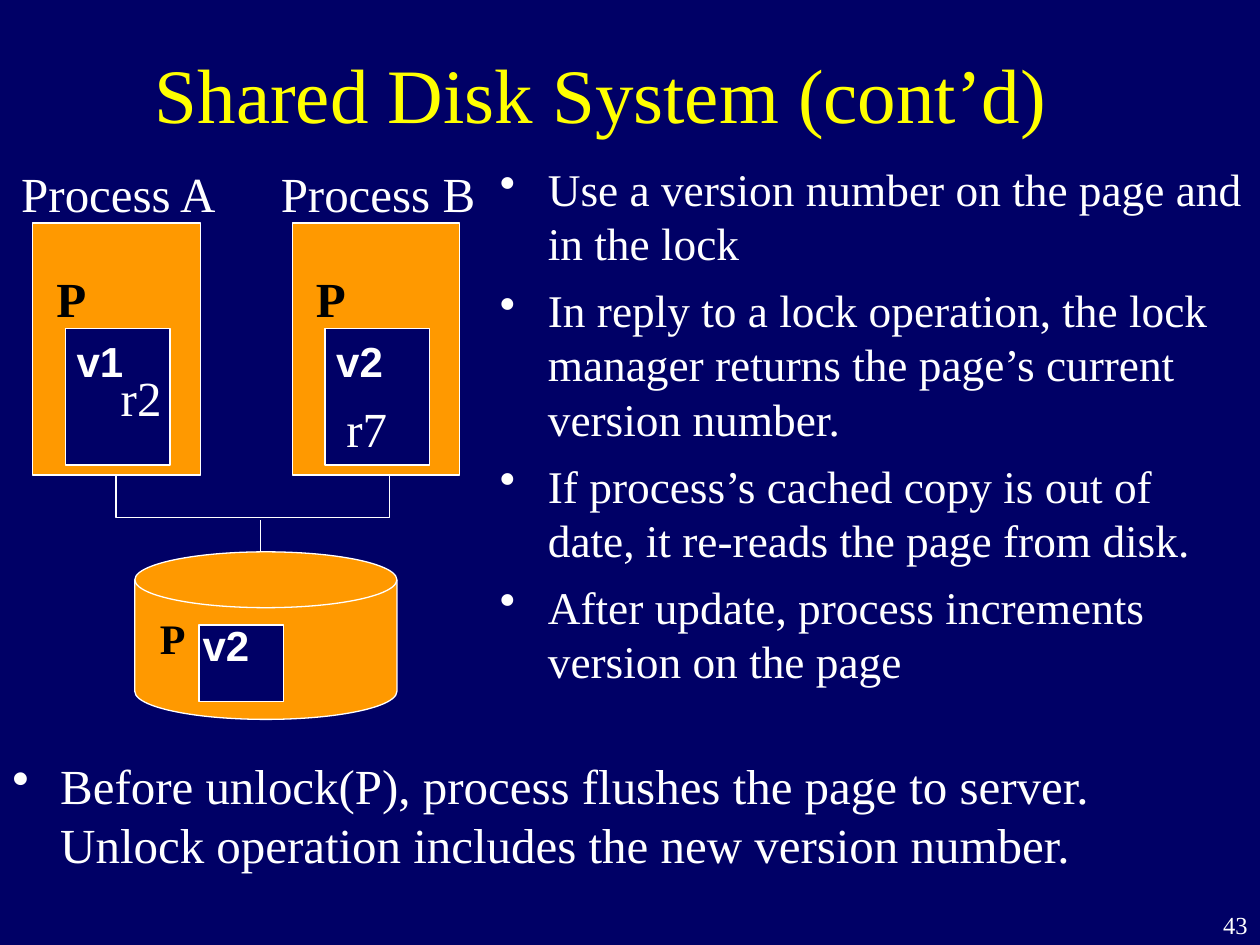
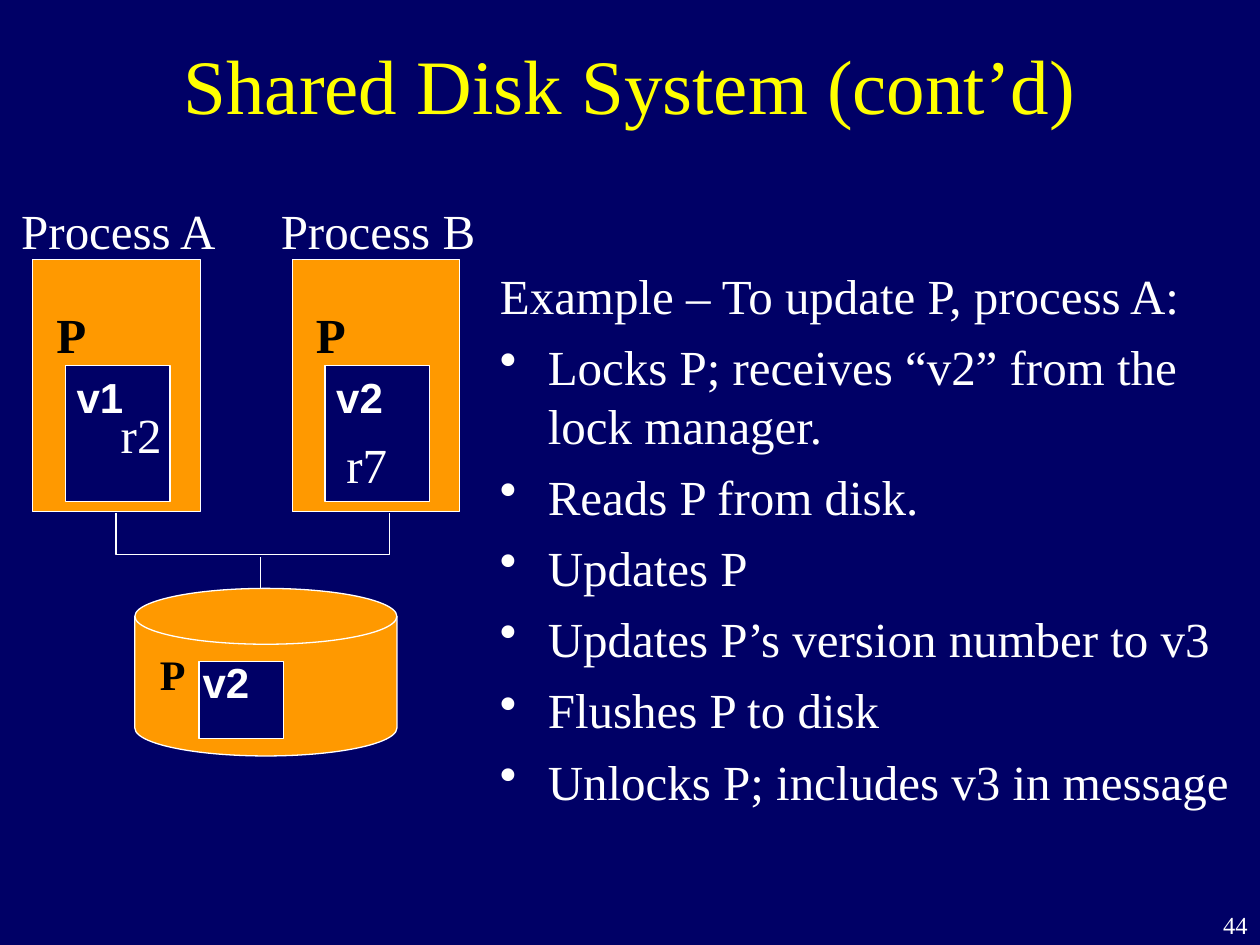
from pptx import Presentation
from pptx.dml.color import RGBColor
from pptx.enum.shapes import MSO_CONNECTOR, MSO_SHAPE
from pptx.enum.text import MSO_ANCHOR, MSO_AUTO_SIZE, PP_ALIGN
from pptx.oxml.ns import qn
from pptx.util import Inches, Pt
from lxml import etree

RECTANGLE = MSO_SHAPE.RECTANGLE
DISK = MSO_SHAPE.FLOWCHART_MAGNETIC_DISK
STRAIGHT = MSO_CONNECTOR.STRAIGHT
LEFT, CENTER, RIGHT = PP_ALIGN.LEFT, PP_ALIGN.CENTER, PP_ALIGN.RIGHT
TOP, MIDDLE = MSO_ANCHOR.TOP, MSO_ANCHOR.MIDDLE
FIT_SHAPE = MSO_AUTO_SIZE.SHAPE_TO_FIT_TEXT

NAVY, ORANGE, YELLOW = "000066", "FF9900", "FFFF00"
WHITE, BLACK = "FFFFFF", "000000"
SERIF, SANS = "Times New Roman", "Arial"
HANGING = 0.38
COLUMN_STEP = 2.06


def color(hex_code):
    """Turn a hex string into a colour."""
    return RGBColor.from_string(hex_code)


def write(paragraph, text, size=28, font=SERIF, fill=WHITE, bold=False, align=LEFT):
    """Put formatted text into a paragraph."""
    paragraph.alignment = align
    run = paragraph.add_run()
    run.text = text
    run.font.size = Pt(size)
    run.font.name = font
    run.font.bold = bold
    run.font.color.rgb = color(fill)


def hang(paragraph, bullet):
    """Give a paragraph a hanging indent, with a bullet if wanted."""
    paragraph.space_before = Pt(7)
    properties = paragraph._p.get_or_add_pPr()
    properties.set("marL", str(Inches(HANGING)))
    properties.set("indent", str(-Inches(HANGING)))
    if bullet:
        bullet_color = etree.SubElement(properties, qn("a:buClr"))
        etree.SubElement(bullet_color, qn("a:srgbClr"), val=WHITE)
        etree.SubElement(properties, qn("a:buChar"), char="•")
    else:
        etree.SubElement(properties, qn("a:buNone"))


class Deck:
    """Hold the style and the current slide."""

    def __init__(self):
        """Start an empty presentation."""
        self.presentation = Presentation()
        self.presentation.slide_width = Inches(10)
        self.presentation.slide_height = Inches(7.5)
        self.slide = None

    def start_slide(self, title, number, left, top):
        """Add a slide with its background, title and number."""
        self.slide = self.presentation.slides.add_slide(self.presentation.slide_layouts[6])
        background = self.slide.background.fill
        background.solid()
        background.fore_color.rgb = color(NAVY)
        self.text(title, left, top, 8.5, 1.25, anchor=MIDDLE, size=44, fill=YELLOW, align=CENTER)
        self.text(str(number), 9.08, 7.17, 0.92, 0.33, size=14, align=RIGHT)

    def frame(self, left, top, width, height, anchor=TOP, wrap=True):
        """Add an empty text box and return its text frame."""
        box = self.slide.shapes.add_textbox(Inches(left), Inches(top), Inches(width), Inches(height))
        box.text_frame.word_wrap = wrap
        box.text_frame.vertical_anchor = anchor
        return box.text_frame

    def text(self, text, left, top, width, height, anchor=TOP, **style):
        """Add one line of wrapping text."""
        write(self.frame(left, top, width, height, anchor).paragraphs[0], text, **style)

    def label(self, text, left, top, width, height=0.57, wrap=False, **style):
        """Add a diagram label whose box fits its text."""
        frame = self.frame(left, top, width, height, wrap=wrap)
        frame.auto_size = FIT_SHAPE
        write(frame.paragraphs[0], text, **style)

    def bullets(self, items, left, top, width, height, heading=None, size=28):
        """Add a bulleted list, with an optional plain heading."""
        frame = self.frame(left, top, width, height)
        lines = [heading] * bool(heading) + items
        for index, line in enumerate(lines):
            paragraph = frame.add_paragraph() if index else frame.paragraphs[0]
            hang(paragraph, bullet=line != heading)
            write(paragraph, line, size=size)

    def outline(self, shape):
        """Draw the thin white outline without a shadow."""
        shape.line.color.rgb = color(WHITE)
        shape.line.width = Pt(0.75)

    def block(self, kind, left, top, width, height, fill):
        """Add a filled, outlined shape."""
        block = self.slide.shapes.add_shape(
            kind, Inches(left), Inches(top), Inches(width), Inches(height))
        block.shadow.inherit = False
        block.fill.solid()
        block.fill.fore_color.rgb = color(fill)
        self.outline(block)

    def bracket(self, left, top, width, height):
        """Add an open bracket that joins two blocks from below."""
        x, y, right, bottom = (Inches(v) for v in (left, top, left + width, top + height))
        builder = self.slide.shapes.build_freeform(x, y)
        builder.add_line_segments([(x, bottom), (right, bottom), (right, y)], close=False)
        bracket = builder.convert_to_shape()
        bracket.shadow.inherit = False
        bracket.fill.background()
        self.outline(bracket)

    def stem(self, x, top, bottom):
        """Add a vertical line."""
        stem = self.slide.shapes.add_connector(
            STRAIGHT, Inches(x), Inches(top), Inches(x), Inches(bottom))
        etree.SubElement(stem._element.spPr, qn("a:effectLst"))
        self.outline(stem)

    def process(self, name, column, top, version, record, record_x, record_y):
        """Add a process that caches a version of page P."""
        x = column * COLUMN_STEP
        self.block(RECTANGLE, x + 0.26, top + 0.52, 1.33, 2, ORANGE)
        self.label(name, x + 0.07, top, 1.75)
        self.block(RECTANGLE, x + 0.52, top + 1.36, 0.83, 1.08, NAVY)
        self.label("P", x + 0.35, top + 0.83, 0.6, wrap=True, fill=BLACK, bold=True)
        self.label(record, record_x, top + record_y, 0.52)
        self.label(version, x + 0.51, top + 1.36, 0.57, 0.5, size=24, font=SANS, bold=True)

    def shared_disk(self, top):
        """Add two processes connected to one disk."""
        self.process("Process A", 0, top, "v1", "r2", 0.86, 1.62)
        self.process("Process B", 1, top, "v2", "r7", 2.65, 1.86)
        self.bracket(0.92, top + 2.53, 2.17, 0.33)
        self.block(DISK, 1.07, top + 3.13, 2.08, 1.33, ORANGE)
        self.stem(2.07, top + 2.88, top + 3.13)
        self.block(RECTANGLE, 1.58, top + 3.71, 0.67, 0.61, NAVY)
        self.label("P", 1.17, top + 3.56, 0.4, 0.5, size=24, fill=BLACK, bold=True)
        self.label("v2", 1.51, top + 3.62, 0.57, 0.5, size=24, font=SANS, bold=True)


def main():
    """Build both slides and save them."""
    deck = Deck()
    title = "Shared Disk System (cont’d)"

    deck.start_slide(title, 43, 0.52, 0.11)
    deck.shared_disk(1.25)
    deck.bullets([
        "Use a version number on the page and in the lock",
        "In reply to a lock operation, the lock manager returns the page’s current version number.",
        "If process’s cached copy is out of date, it re-reads the page from disk.",
        "After update, process increments version on the page",
    ], 3.87, 1.23, 6.13, 4.36, size=25.9)
    deck.bullets([
        "Before unlock(P), process flushes the page to server. "
        "Unlock operation includes the new version number.",
    ], 0, 5.95, 9.77, 1.55)

    deck.start_slide(title, 44, 0.75, 0.04)
    deck.shared_disk(1.54)
    deck.bullets([
        "Locks P; receives “v2” from the lock manager.",
        "Reads P from disk.",
        "Updates P",
        "Updates P’s version number to v3",
        "Flushes P to disk",
        "Unlocks P; includes v3 in message",
    ], 3.87, 2.06, 6.13, 4.36, heading="Example – To update P, process A:")

    deck.presentation.save("out.pptx")


if __name__ == "__main__":
    main()
